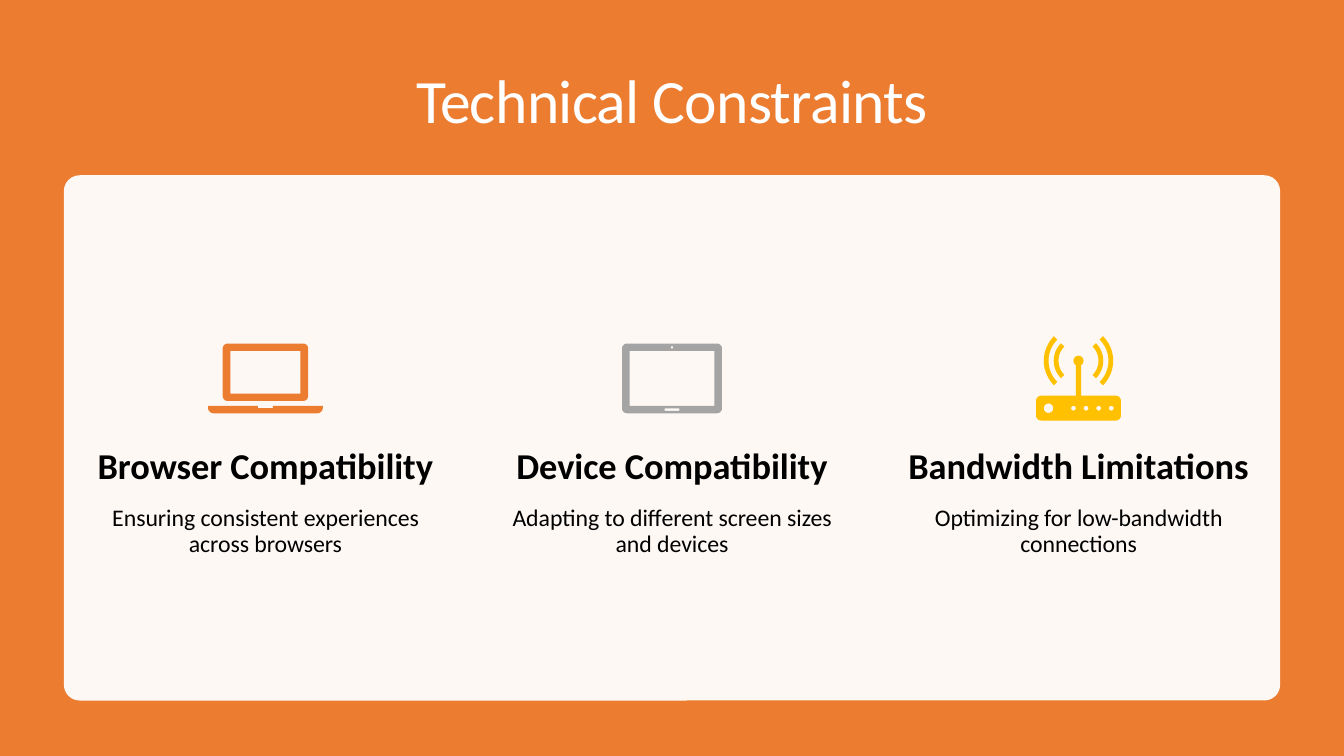
import math
import pptx
import pptx.util
import pptx.dml.color
import pptx.enum.shapes
import pptx.enum.text
import pptx.oxml.ns
import lxml.etree

Pt = pptx.util.Pt
RGBColor = pptx.dml.color.RGBColor
Kind = pptx.enum.shapes.MSO_SHAPE

ORANGE = RGBColor(0xEC, 0x7C, 0x30)
GRAY = RGBColor(0xA4, 0xA4, 0xA4)
GOLD = RGBColor(0xFF, 0xC0, 0x00)
WHITE = RGBColor(0xFF, 0xFF, 0xFF)
BLACK = RGBColor(0x00, 0x00, 0x00)

WIDE, HIGH = 960, 540
MID, STEP = 480, 290.4  # centre of the middle card, pitch of the cards

CARDS = [
    ("Browser Compatibility", "Ensuring consistent experiences across browsers"),
    ("Device Compatibility", "Adapting to different screen sizes and devices"),
    ("Bandwidth Limitations", "Optimizing for low-bandwidth connections"),
]


# Outlines: lists of points
def arc(x, y, size, start, end, count=12):
    angles = [math.radians(start + (end - start) * i / count) for i in range(count + 1)]
    return [(x + size * math.cos(a), y + size * math.sin(a)) for a in angles]


def disc(x, y, size):
    return arc(x, y, size, 0, 360, 24)


def band(x, y, outer, inner, start, end):
    return arc(x, y, outer, start, end) + arc(x, y, inner, end, start)


def box(left, top, right, bottom, curve=0):
    if not curve:
        return [(left, top), (right, top), (right, bottom), (left, bottom)]
    low, high = top + curve, bottom - curve
    near, far = left + curve, right - curve
    return (arc(near, low, curve, 180, 270) + arc(far, low, curve, 270, 360)
            + arc(far, high, curve, 0, 90) + arc(near, high, curve, 90, 180))


# Shapes
def paint(shape, color):
    shape.shadow.inherit = False
    shape.fill.solid()
    shape.fill.fore_color.rgb = color
    shape.line.fill.background()
    return shape


def block(slide, kind, left, top, width, height, color):
    return paint(slide.shapes.add_shape(
        kind, Pt(left), Pt(top), Pt(width), Pt(height)), color)


def draw(slide, color, *lines):
    """Fill the outlines as one shape; an outline inside another is a hole."""
    paths = [[(Pt(x), Pt(y)) for x, y in line] for line in lines]
    pen = slide.shapes.build_freeform(*paths[0][0])
    pen.add_line_segments(paths[0][1:], close=True)
    for path in paths[1:]:
        pen.move_to(*path[0])
        pen.add_line_segments(path[1:], close=True)
    return paint(pen.convert_to_shape(), color)


def fade(shape, percent):
    color = shape.fill._xPr.find(".//" + pptx.oxml.ns.qn("a:srgbClr"))
    alpha = lxml.etree.SubElement(color, pptx.oxml.ns.qn("a:alpha"))
    alpha.set("val", str(percent * 1000))


# Text
def frame(slide, left, top, width, height):
    text = slide.shapes.add_textbox(Pt(left), Pt(top), Pt(width), Pt(height)).text_frame
    text.word_wrap = True
    text.margin_left = text.margin_right = text.margin_top = text.margin_bottom = 0
    return text


def write(para, text, size=17, color=BLACK, bold=False, before=0, line=None, track=0):
    para.alignment = pptx.enum.text.PP_ALIGN.CENTER
    para.space_before = Pt(before)
    if line:
        para.line_spacing = Pt(line)
    run = para.add_run()
    run.text = text
    run.font.name = "Calibri"
    run.font.size = Pt(size)
    run.font.bold = bold
    run.font.color.rgb = color
    if track:
        run.font._element.set("spc", str(round(track * 100)))


# Icons, each centred on x
def laptop(slide, x):
    base = ([(x - 41, 289.9), (x - 5.4, 289.9), (x - 5.4, 291.6),
             (x + 5.4, 291.6), (x + 5.4, 289.9), (x + 41, 289.9)]
            + arc(x + 37, 291.2, 4, 0, 90) + arc(x - 37, 291.2, 4, 90, 180))
    draw(slide, ORANGE, box(x - 30.5, 245.4, x + 30.5, 286.4, 3.6),
         box(x - 25, 250.7, x + 25, 281.1), base)


def tablet(slide, x):
    draw(slide, GRAY, box(x - 35.7, 245.4, x + 35.7, 295.2, 3.6),
         box(x - 30.3, 250.7, x + 30.3, 289.9),
         disc(x, 248.1, 0.9),
         box(x - 5.4, 291.7, x + 5.4, 293.5, 0.8))


def router(slide, x):
    y, top = 257.7, 282.7
    left, right = [
        [band(x, y, size, size - 3.4, start, start + 90) for size in (24.8, 17.7)]
        for start in (135, -45)]
    mast = arc(x, y, 3.6, 120, 420, 24) + [(x + 1.8, top), (x - 1.8, top)]
    lights = [disc(x - 3.6 + 9 * i, 291.6, 1.7) for i in range(4)]
    draw(slide, GOLD, *left)
    draw(slide, GOLD, *right, mast, box(x - 30.3, top, x + 30.3, 300.4, 3.6),
         disc(x - 21.4, 291.6, 3.4), *lights)


def main():
    deck = pptx.Presentation()
    deck.slide_width, deck.slide_height = Pt(WIDE), Pt(HIGH)
    slide = deck.slides.add_slide(deck.slide_layouts[6])

    # Backdrop, title and panel
    block(slide, Kind.RECTANGLE, 0, 0, WIDE, HIGH, ORANGE)
    title = frame(slide, 37, 44, 886, 56)
    write(title.paragraphs[0], "Technical Constraints", size=44, color=WHITE, track=-0.5)
    panel = block(slide, Kind.ROUNDED_RECTANGLE, 45.6, 125.2, 868.8, 375.2, WHITE)
    panel.adjustments[0] = 0.03
    fade(panel, 95)

    # Cards
    icons = (laptop, tablet, router)
    for i, (icon, (head, note)) in enumerate(zip(icons, CARDS)):
        x = MID + (i - 1) * STEP
        icon(slide, x)
        text = frame(slide, x - 124, 316.2, 248, 84)
        write(text.paragraphs[0], head, size=26, bold=True, track=-0.05)
        write(text.add_paragraph(), note, before=13.8, line=18.6, track=-0.06)

    deck.save("out.pptx")


if __name__ == "__main__":
    main()
